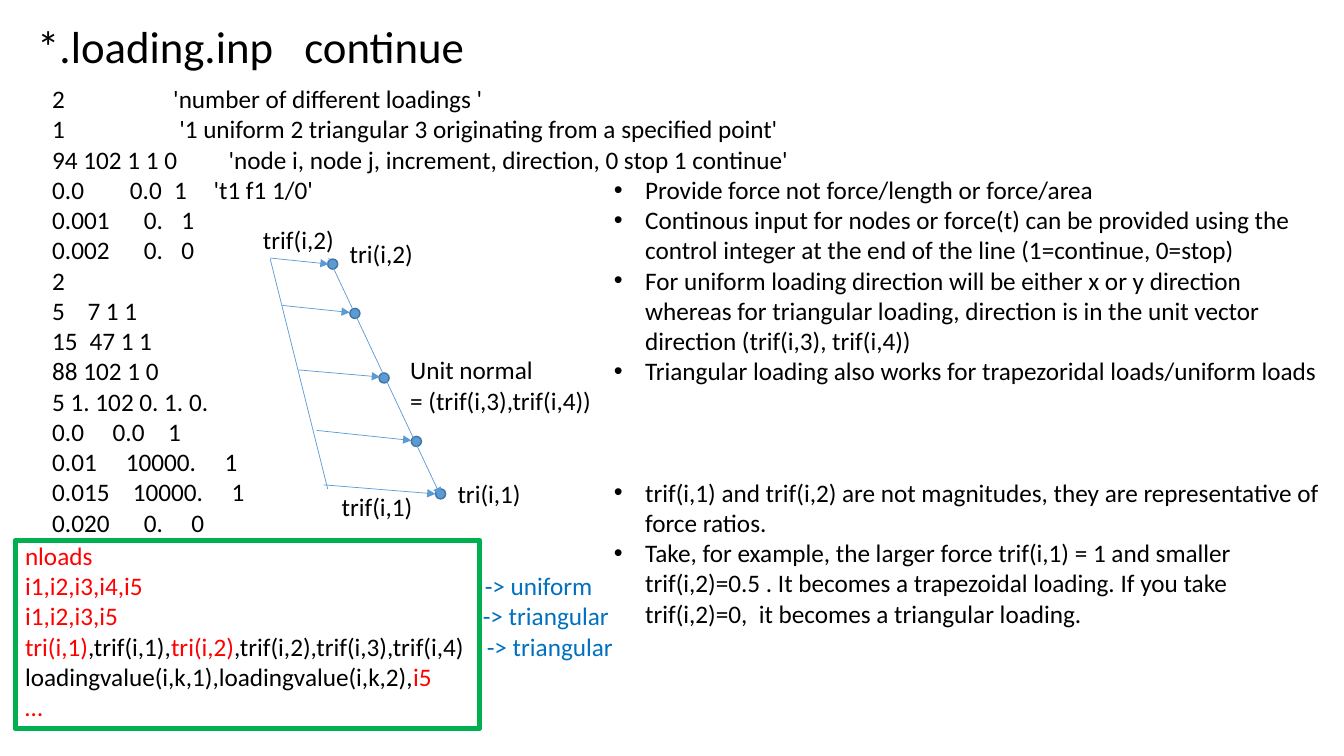
from dataclasses import dataclass

import pptx
import pptx.dml.color
import pptx.enum.shapes
import pptx.oxml.ns
import pptx.util
from lxml import etree

Inches = pptx.util.Inches
Pt = pptx.util.Pt
qn = pptx.oxml.ns.qn

HUES = {"ink": "000000", "red": "FF0000", "note": "0070C0",
        "blue": "5B9BD5", "rim": "43739E", "green": "00B050"}


@dataclass
class Line:
    """One paragraph: (text, hue) runs, tab stops in inches, bullet, gap."""
    runs: list[tuple[str, str]]
    tabs: tuple[float, ...] = ()
    dot: bool = False
    gap: float = 0


@dataclass
class Block:
    """A text box: left, top, width, height in inches."""
    place: tuple[float, float, float, float]
    lines: list[Line]
    size: int = 18
    wrap: bool = True


@dataclass
class Force:
    """A load arrow from the force line to a node on the edge."""
    start: tuple[float, float]
    end: tuple[float, float]
    node: tuple[float, float]


def ink(text: str, *tabs: float) -> Line:
    """Return a black one-run line."""
    return Line([(text, "ink")], tabs)


def point(text: str, gap: float = 0) -> Line:
    """Return a bulleted line."""
    return Line([(text, "ink")], dot=True, gap=gap)


def label(x: float, y: float, wide: float, *texts: str) -> Block:
    """Return a small label that does not wrap."""
    high = 0.4 + 0.3 * (len(texts) - 1)
    return Block((x, y, wide, high), [ink(t) for t in texts], wrap=False)


def tint(name: str) -> pptx.dml.color.RGBColor:
    """Return the named colour."""
    return pptx.dml.color.RGBColor.from_string(HUES[name])


def write(slide, block: Block) -> None:
    """Draw a text box run by run."""
    frame = slide.shapes.add_textbox(*map(Inches, block.place)).text_frame
    frame.word_wrap = block.wrap
    for i, line in enumerate(block.lines):
        para = frame.add_paragraph() if i else frame.paragraphs[0]
        if line.gap:
            para.space_before = Pt(line.gap)
        props = para._p.get_or_add_pPr()
        if line.dot:
            props.set("marL", str(Inches(0.31)))
            props.set("indent", str(-Inches(0.31)))
            etree.SubElement(props, qn("a:buFont"), typeface="Arial")
            etree.SubElement(props, qn("a:buChar"), char="•")
        if line.tabs:
            stops = etree.SubElement(props, qn("a:tabLst"))
            for tab in line.tabs:
                etree.SubElement(stops, qn("a:tab"), pos=str(Inches(tab)), algn="l")
        for text, hue in line.runs:
            run = para.add_run()
            run.text = text
            run.font.name = "Calibri"
            run.font.size = Pt(block.size)
            run.font.color.rgb = tint(hue)


def stroke(slide, start: tuple[float, float], end: tuple[float, float],
           head: bool = True) -> None:
    """Draw a thin line, with an arrowhead if asked."""
    kind = pptx.enum.shapes.MSO_CONNECTOR.STRAIGHT
    link = slide.shapes.add_connector(kind, *map(Inches, start + end))
    link.line.color.rgb = tint("blue")
    link.line.width = Pt(0.5)
    if head:
        etree.SubElement(link.line._get_or_add_ln(), qn("a:tailEnd"), type="triangle")
    etree.SubElement(link._element.spPr, qn("a:effectLst"))


def shape(slide, kind, place: tuple[float, float, float, float],
          fill: str | None, rim: str, width: float) -> None:
    """Draw a preset shape, hollow when fill is None."""
    form = slide.shapes.add_shape(kind, *map(Inches, place))
    form.shadow.inherit = False
    if fill:
        form.fill.solid()
        form.fill.fore_color.rgb = tint(fill)
    else:
        form.fill.background()
    form.line.color.rgb = tint(rim)
    form.line.width = Pt(width)


TITLE = Block((0.27, 0.14, 4.49, 0.64), [ink("*.loading.inp\tcontinue", 2.65)], 32)

FORMAT = Block((0.15, 5.31, 6.1, 1.92), [
    Line([("nloads", "red")]),
    Line([("i1,i2,i3,i4,i5\t", "red"), ("-> uniform", "note")], (4.56,)),
    Line([("i1,i2,i3,i5\t", "red"), ("-> triangular", "note")], (4.54,)),
    Line([("tri(i,1)", "red"), (",trif(i,1),", "ink"), ("tri(i,2)", "red"),
          (",trif(i,2),trif(i,3),trif(i,4)\t", "ink"),
          ("-> triangular", "note")], (4.58,)),
    Line([("loadingvalue(i,k,1),loadingvalue(i,k,2),", "ink"), ("i5", "red")]),
    Line([("…", "red")]),
])

INPUT = Block((0.42, 0.78, 7.84, 5.86), [
    ink("2\t'number of different loadings '", 1.2),
    ink("1\t'1 uniform 2 triangular 3 originating from a specified point'", 1.26),
    ink("94 102 1 1 0\t'node i, node j, increment, direction, 0 stop 1 continue'", 1.75),
    ink("0.0\t0.0\t1\t't1 f1 1/0'", 0.77, 1.21, 1.6),
    ink("0.001\t0.\t1", 0.91, 1.28),
    ink("0.002\t0.\t0", 0.91, 1.28),
    ink("2"),
    ink("5\t7 1 1", 0.35),
    ink("15\t47 1 1", 0.37),
    ink("88 102 1 0"),
    ink("5 1. 102 0. 1. 0."),
    ink("0.0\t0.0\t1", 0.6, 1.15),
    ink("0.01\t10000.\t1", 0.73, 1.71),
    ink("0.015\t10000.\t1", 0.8, 1.78),
    ink("0.020\t0.\t0", 0.91, 1.38),
])

NOTES = Block((5.99, 1.68, 7.31, 4.95), [
    point("Provide force not force/length or force/area"),
    point("Continous input for nodes or force(t) can be provided using the control "
          "integer at the end of the line (1=continue, 0=stop)"),
    point("For uniform loading direction will be either x or y direction whereas for "
          "triangular loading, direction is in the unit vector direction "
          "(trif(i,3), trif(i,4))"),
    point("Triangular loading also works for trapezoridal loads/uniform loads"),
    point("trif(i,1) and trif(i,2) are not magnitudes, they are representative of "
          "force ratios.", 65),
    point("Take, for example, the larger force trif(i,1) = 1 and smaller "
          "trif(i,2)=0.5 . It becomes a trapezoidal loading. If you take "
          "trif(i,2)=0,  it becomes a triangular loading."),
])

LABELS = [
    label(4.44, 4.7, 0.83, "tri(i,1)"),
    label(3.37, 2.32, 0.83, "tri(i,2)"),
    label(3.29, 4.83, 0.91, "trif(i,1)"),
    label(2.51, 2.18, 0.91, "trif(i,2)"),
    label(3.97, 3.47, 2.02, "Unit normal", "= (trif(i,3),trif(i,4))"),
]

FORCES = [
    Force((2.68, 2.56), (3.26, 2.62), (3.3, 2.62)),
    Force((2.8, 3.03), (3.47, 3.1), (3.52, 3.11)),
    Force((2.96, 3.67), (3.77, 3.74), (3.81, 3.75)),
    Force((3.14, 4.27), (4.08, 4.37), (4.13, 4.38)),
    Force((3.21, 4.81), (4.32, 4.9), (4.37, 4.9)),
]
NODE = 0.1

deck = pptx.Presentation()
deck.slide_width, deck.slide_height = Inches(13.33), Inches(7.5)
page = deck.slides.add_slide(deck.slide_layouts[6])
forms = pptx.enum.shapes.MSO_SHAPE

for block in [TITLE, FORMAT, INPUT, NOTES, *LABELS]:
    write(page, block)

for force in FORCES:
    x, y = force.node
    shape(page, forms.OVAL, (x - NODE / 2, y - NODE / 2, NODE, NODE), "blue", "rim", 1)
    stroke(page, force.start, force.end)
stroke(page, (3.26, 2.56), (4.37, 4.92))
stroke(page, (2.68, 2.57), (3.25, 4.85), head=False)

shape(page, forms.RECTANGLE, (0.15, 5.36, 4.61, 1.87), None, "green", 3.5)
deck.save("out.pptx")
